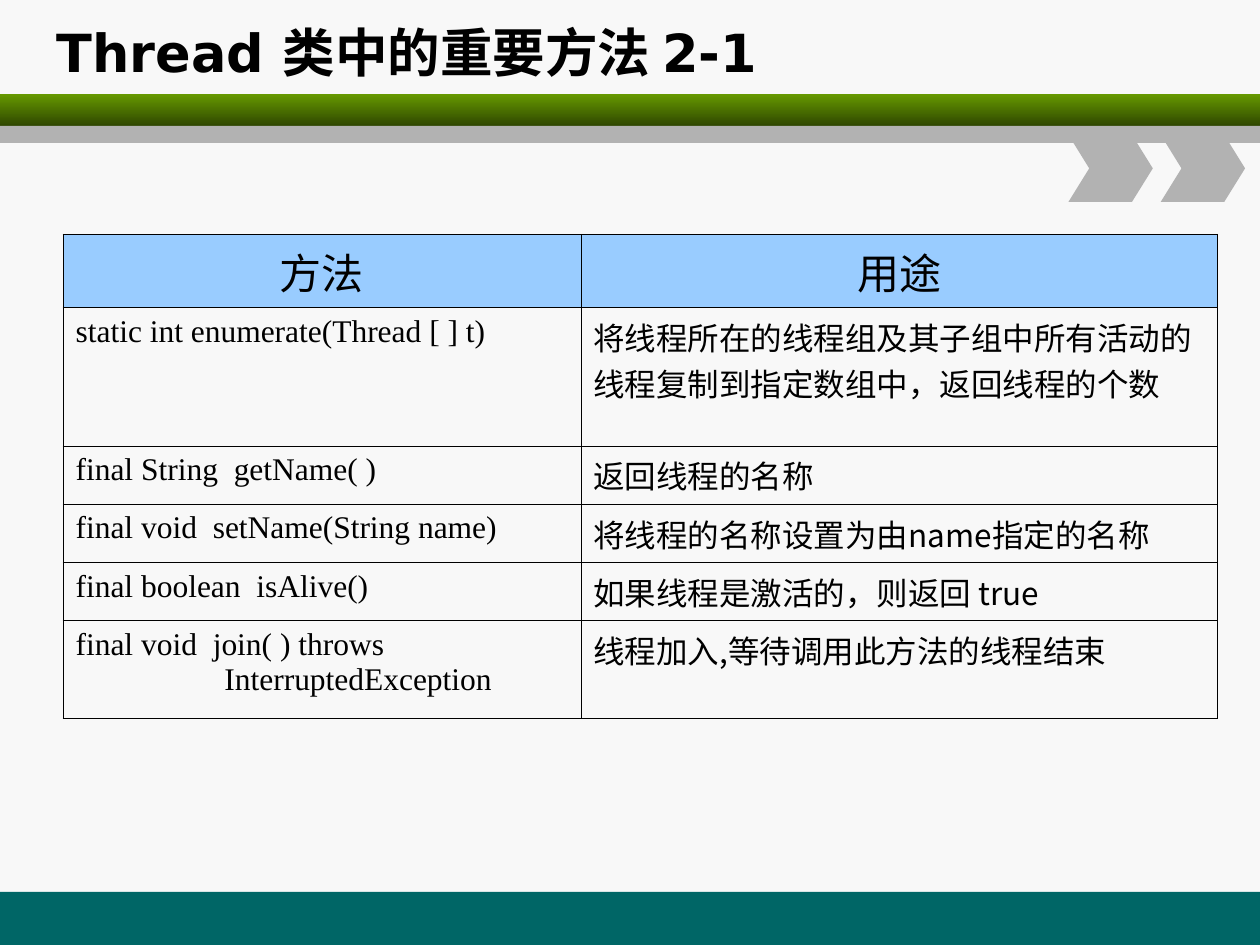
import dataclasses
import typing

import pptx
import pptx.dml.color
import pptx.enum.shapes
import pptx.enum.text
import pptx.oxml
import pptx.oxml.ns
import pptx.util

Cm = pptx.util.Cm
Pt = pptx.util.Pt
RGBColor = pptx.dml.color.RGBColor
Preset = pptx.enum.shapes.MSO_SHAPE
Align = pptx.enum.text.PP_ALIGN
Anchor = pptx.enum.text.MSO_ANCHOR

PAPER = RGBColor(0xF8, 0xF8, 0xF8)
INK = RGBColor(0x00, 0x00, 0x00)
TEAL = RGBColor(0x00, 0x66, 0x66)
GREEN = RGBColor(0x66, 0x99, 0x00)
DARK_GREEN = RGBColor(0x2F, 0x47, 0x00)
GREY = RGBColor(0xB2, 0xB2, 0xB2)
HEADER_BLUE = RGBColor(0x99, 0xCC, 0xFF)

CHINESE_FONT = "Noto Sans CJK SC"
CODE_FONT = "Times New Roman"
HEADER_FONT = "Arial"
TITLE_FONT = "DejaVu Sans"

SLIDE_WIDTH, SLIDE_HEIGHT = 25.4, 19.05
COLUMN_WIDTHS = (10.44, 12.83)
CONTINUATION_INDENT = 3.0
BORDER_WIDTH = Pt(0.45)


@dataclasses.dataclass
class Decoration:
    preset: typing.Any
    left: float
    top: float
    width: float
    height: float
    color: RGBColor
    end_color: typing.Optional[RGBColor] = None


@dataclasses.dataclass
class MethodRow:
    signature: tuple[str, ...]
    purpose: str
    height: float


DECORATIONS = [
    Decoration(Preset.RECTANGLE, 0, 17.98, SLIDE_WIDTH, 1.07, TEAL),
    Decoration(Preset.RECTANGLE, 0, 1.9, SLIDE_WIDTH, 0.64, GREEN, DARK_GREEN),
    Decoration(Preset.RECTANGLE, 0, 2.54, SLIDE_WIDTH, 0.34, GREY),
    *(Decoration(Preset.CHEVRON, left, 2.72, 1.7, 1.35, GREY) for left in (21.54, 23.4)),
]

HEADER = MethodRow(("方法",), "用途", 1.27)
METHODS = [
    MethodRow(("static int enumerate(Thread [ ] t)",),
              "将线程所在的线程组及其子组中所有活动的线程复制到指定数组中，返回线程的个数", 2.79),
    MethodRow(("final String  getName( )",), "返回线程的名称", 1.09),
    MethodRow(("final void  setName(String name)",), "将线程的名称设置为由name指定的名称", 1.09),
    MethodRow(("final boolean  isAlive()",), "如果线程是激活的，则返回 true", 1.09),
    MethodRow(("final void  join( ) throws", "InterruptedException"),
              "线程加入,等待调用此方法的线程结束", 1.96),
]


def add_run(paragraph, text: str, font: str, size: float, bold: bool = False) -> None:
    run = paragraph.add_run()
    run.text = text
    run.font.name = font
    run.font.size = Pt(size)
    run.font.bold = bold
    run.font.color.rgb = INK
    east_asian = run.font._element.makeelement(
        pptx.oxml.ns.qn("a:ea"), {"typeface": CHINESE_FONT})
    run.font._element.find(pptx.oxml.ns.qn("a:latin")).addnext(east_asian)


def draw_decoration(slide, decoration: Decoration) -> None:
    shape = slide.shapes.add_shape(
        decoration.preset, Cm(decoration.left), Cm(decoration.top),
        Cm(decoration.width), Cm(decoration.height))
    shape.shadow.inherit = False
    shape.line.fill.background()
    if decoration.preset == Preset.CHEVRON:
        shape.adjustments[0] = 0.31
    if decoration.end_color is None:
        shape.fill.solid()
        shape.fill.fore_color.rgb = decoration.color
    else:
        shape.fill.gradient()
        shape.fill.gradient_angle = 270
        first, last = shape.fill.gradient_stops
        first.color.rgb = decoration.color
        last.color.rgb = decoration.end_color


def set_borders(cell) -> None:
    properties = cell._tc.get_or_add_tcPr()
    for position, side in enumerate(("lnL", "lnR", "lnT", "lnB")):
        border = pptx.oxml.parse_xml(
            f'<a:{side} {pptx.oxml.ns.nsdecls("a")} w="{BORDER_WIDTH}">'
            f'<a:solidFill><a:srgbClr val="{INK}"/></a:solidFill></a:{side}>')
        properties.insert(position, border)


def fill_cell(cell, lines: tuple[str, ...], font: str, header: bool) -> None:
    if header:
        cell.fill.solid()
        cell.fill.fore_color.rgb = HEADER_BLUE
    else:
        cell.fill.background()
    set_borders(cell)
    for index, line in enumerate(lines):
        frame = cell.text_frame
        paragraph = frame.add_paragraph() if index else frame.paragraphs[0]
        paragraph.alignment = Align.CENTER if header else Align.LEFT
        if index:
            paragraph._p.get_or_add_pPr().set("marL", str(Cm(CONTINUATION_INDENT)))
        add_run(paragraph, line, font, 24 if header else 18)


def draw_method_table(slide) -> None:
    rows = [HEADER, *METHODS]
    table = slide.shapes.add_table(
        len(rows), len(COLUMN_WIDTHS), Cm(1.27), Cm(4.72),
        Cm(sum(COLUMN_WIDTHS)), Cm(sum(row.height for row in rows))).table
    table.first_row = False
    table.horz_banding = False
    for column, width in zip(table.columns, COLUMN_WIDTHS):
        column.width = Cm(width)
    for index, row in enumerate(rows):
        header = row is HEADER
        table.rows[index].height = Cm(row.height)
        fill_cell(table.cell(index, 0), row.signature,
                  HEADER_FONT if header else CODE_FONT, header)
        fill_cell(table.cell(index, 1), (row.purpose,),
                  HEADER_FONT if header else CHINESE_FONT, header)


def write_title(slide) -> None:
    title = slide.shapes.title
    title.left, title.top = Cm(0.89), Cm(0.05)
    title.width, title.height = Cm(22.86), Cm(1.75)
    frame = title.text_frame
    frame.auto_size = pptx.enum.text.MSO_AUTO_SIZE.NONE
    frame.word_wrap = True
    frame.vertical_anchor = Anchor.BOTTOM
    heading = frame.paragraphs[0]
    heading.alignment = Align.LEFT
    add_run(heading, "Thread 类中的重要方法 2-1", TITLE_FONT, 30, bold=True)


def main() -> None:
    presentation = pptx.Presentation()
    presentation.slide_width = Cm(SLIDE_WIDTH)
    presentation.slide_height = Cm(SLIDE_HEIGHT)
    slide = presentation.slides.add_slide(presentation.slide_layouts.get_by_name("Title Only"))
    slide.background.fill.solid()
    slide.background.fill.fore_color.rgb = PAPER
    for decoration in DECORATIONS:
        draw_decoration(slide, decoration)
    write_title(slide)
    draw_method_table(slide)
    presentation.save("out.pptx")


if __name__ == "__main__":
    main()
